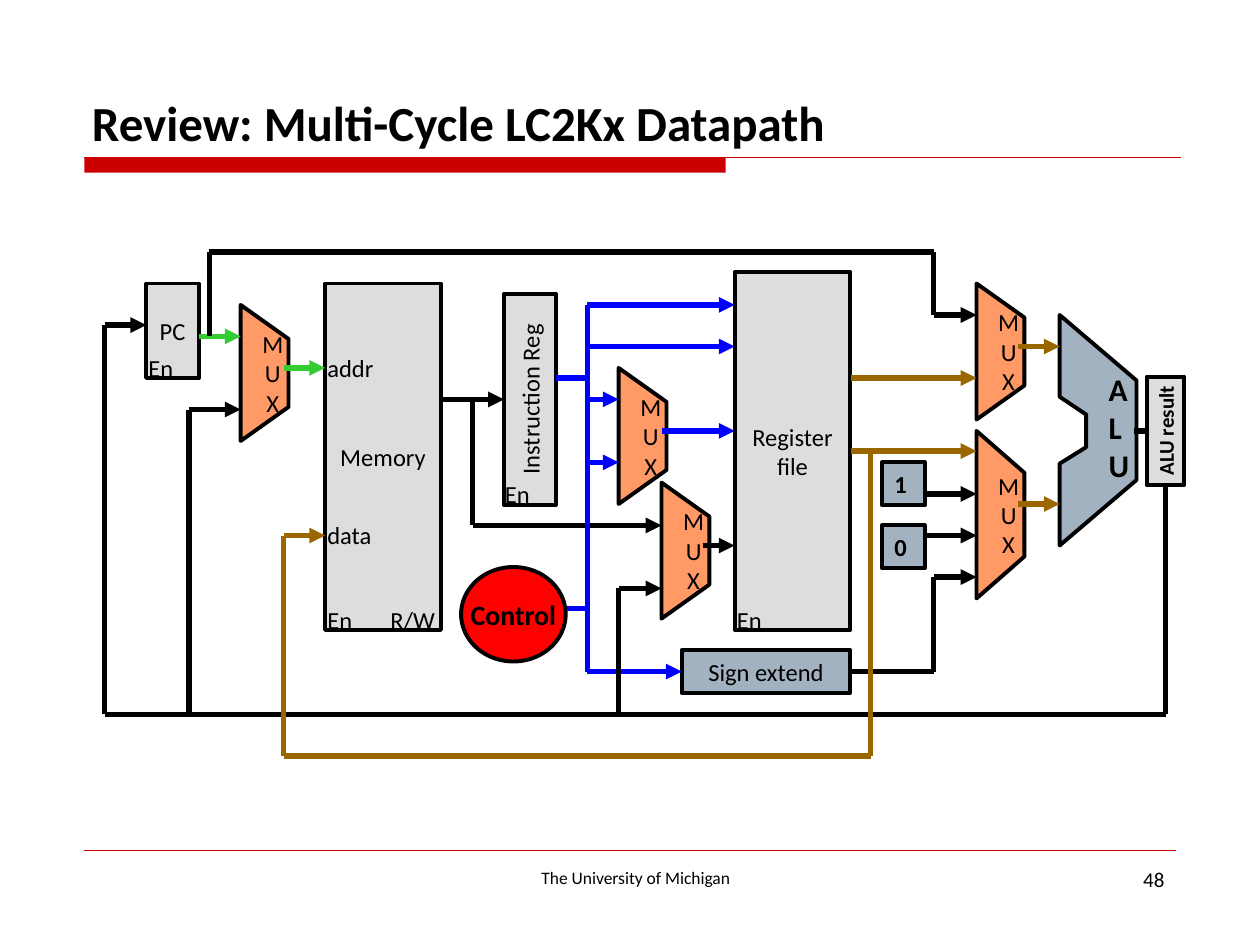
"""Build the multi-cycle LC2Kx datapath review slide."""
from itertools import pairwise

from lxml import etree
from pptx import Presentation
from pptx.dml.color import RGBColor
from pptx.enum.shapes import MSO_CONNECTOR, MSO_SHAPE
from pptx.enum.text import MSO_ANCHOR, PP_ALIGN
from pptx.oxml.ns import qn
from pptx.util import Inches, Pt

RECT, OVAL = MSO_SHAPE.RECTANGLE, MSO_SHAPE.OVAL
STRAIGHT = MSO_CONNECTOR.STRAIGHT
TOP, MIDDLE, BOTTOM = MSO_ANCHOR.TOP, MSO_ANCHOR.MIDDLE, MSO_ANCHOR.BOTTOM
LEFT, CENTER, RIGHT = PP_ALIGN.LEFT, PP_ALIGN.CENTER, PP_ALIGN.RIGHT

THEME = {
    "font": "Calibri",
    "black": "000000", "accent": "CC0000", "storage": "DDDDDD", "logic": "A3B2C1",
    "mux": "FF9966", "control": "FF0000", "fetch": "33CC33", "decode": "0000FF",
    "operand": "996600",
    "title": 28, "alu": 18, "big": 16, "body": 14, "small": 12, "footer": 10,
    "outline": 2.25, "wire": 3, "rule": 0.75, "hairline": 0.25,
}

TITLE = "Review: Multi-Cycle LC2Kx Datapath"

# name, geometry, box, fill, size, bold, sideways
BLOCKS = [
    ("PC", RECT, (1.16, 2.25, 0.42, 0.75), "storage", "body", False, False),
    ("Memory", RECT, (2.58, 2.25, 0.92, 2.75), "storage", "body", False, False),
    ("Register\nfile", RECT, (5.83, 2.16, 0.92, 2.84), "storage", "body", False, False),
    ("Instruction Reg", RECT, (4, 2.33, 0.41, 1.68), "storage", "body", False, True),
    ("Sign extend", RECT, (5.41, 5.16, 1.34, 0.34), "logic", "body", False, False),
    ("Control", OVAL, (3.66, 4.5, 0.83, 0.75), "control", "big", True, False),
    ("ALU result", RECT, (9.1, 2.99, 0.3, 0.86), "storage", "small", True, True),
]
CONSTANTS = [("1", 3.67), ("0", 4.17)]
MUXES = [(1.91, 2.42, 1.08), (4.91, 2.92, 1.08), (5.25, 3.83, 1.08),
         (7.75, 3.42, 1.33), (7.75, 2.25, 1.08)]
ALU = [(9.02, 3.02), (8.41, 2.5), (8.41, 3.15), (8.62, 3.29),
       (8.62, 3.55), (8.41, 3.68), (8.41, 4.33), (9.02, 3.81)]

PORTS = [("addr", 2.5, 2.75, 0.57), ("data", 2.5, 4.08, 0.56), ("R/W", 3, 4.75, 0.56),
         ("En", 1.08, 2.75, 0.4), ("En", 2.5, 4.75, 0.4),
         ("En", 3.91, 3.75, 0.4), ("En", 5.75, 4.75, 0.4)]

# colour, ends in an arrowhead, corner points
WIRES = [
    ("fetch", True, [(1.58, 2.67), (1.91, 2.67)]),
    ("fetch", True, [(2.25, 2.92), (2.58, 2.92)]),
    ("black", True, [(3.5, 3.17), (4, 3.17)]),
    ("black", True, [(3.75, 3.17), (3.75, 4.17), (5.25, 4.17)]),
    ("black", True, [(5.58, 4.33), (5.83, 4.33)]),
    ("decode", False, [(4.41, 3), (4.66, 3)]),
    ("decode", False, [(4.5, 4.83), (4.66, 4.83)]),
    ("decode", True, [(4.66, 2.42), (5.83, 2.42)]),
    ("decode", True, [(4.66, 2.75), (5.83, 2.75)]),
    ("decode", True, [(4.66, 3.17), (4.91, 3.17)]),
    ("decode", True, [(4.66, 3.67), (4.91, 3.67)]),
    ("decode", True, [(4.66, 2.42), (4.66, 5.33), (5.41, 5.33)]),
    ("decode", True, [(5.25, 3.42), (5.83, 3.42)]),
    ("black", True, [(1.66, 2.67), (1.66, 2), (7.41, 2), (7.41, 2.5), (7.75, 2.5)]),
    ("black", True, [(6.75, 5.33), (7.41, 5.33), (7.41, 4.58), (7.75, 4.58)]),
    ("black", True, [(7.33, 3.92), (7.75, 3.92)]),
    ("black", True, [(7.33, 4.25), (7.75, 4.25)]),
    ("black", False, [(9, 3.42), (9.1, 3.42)]),
    ("black", True, [(9.25, 3.85), (9.25, 5.67), (0.83, 5.67), (0.83, 2.58), (1.16, 2.58)]),
    ("black", True, [(1.5, 5.67), (1.5, 3.25), (1.91, 3.25)]),
    ("black", True, [(4.91, 5.67), (4.91, 4.67), (5.25, 4.67)]),
    ("operand", True, [(6.75, 3), (7.75, 3)]),
    ("operand", True, [(6.75, 3.58), (7.75, 3.58)]),
    ("operand", True, [(6.91, 3.58), (6.91, 6), (2.25, 6), (2.25, 4.25), (2.58, 4.25)]),
    ("operand", True, [(8.08, 2.75), (8.41, 2.75)]),
    ("operand", True, [(8.08, 4), (8.41, 4)]),
]


def color(key):
    return RGBColor.from_string(THEME[key])


def write(shape, text, size, bold=False, align=CENTER, anchor=MIDDLE, wrap=False):
    frame = shape.text_frame
    frame.text = text
    frame.word_wrap = wrap
    frame.vertical_anchor = anchor
    for paragraph in frame.paragraphs:
        paragraph.alignment = align
        font = paragraph.font
        font.name, font.size, font.bold = THEME["font"], Pt(THEME[size]), bold
        font.color.rgb = color("black")
    return frame


def paint(shape, fill, line="black", width="outline"):
    shape.shadow.inherit = False
    shape.fill.solid()
    shape.fill.fore_color.rgb = color(fill)
    shape.line.color.rgb = color(line)
    shape.line.width = Pt(THEME[width])
    return shape


def label(slide, text, box, size, **style):
    write(slide.shapes.add_textbox(*map(Inches, box)), text, size, anchor=TOP, **style)


def polygon(slide, points, fill):
    corners = [(Inches(x), Inches(y)) for x, y in points]
    builder = slide.shapes.build_freeform(*corners[0])
    builder.add_line_segments(corners[1:], close=True)
    return paint(builder.convert_to_shape(), fill)


def segment(slide, start, end, line, width, arrow=False, sites=None):
    connector = slide.shapes.add_connector(STRAIGHT, *map(Inches, (*start, *end)))
    connector.line.color.rgb = color(line)
    connector.line.width = Pt(THEME[width])
    if arrow:
        etree.SubElement(connector.line._get_or_add_ln(), qn("a:tailEnd"), type="triangle")
    etree.SubElement(connector._element.spPr, qn("a:effectLst"))
    for point, join in ((start, connector.begin_connect), (end, connector.end_connect)):
        if sites and point in sites:
            join(*sites[point])


def side_middles(shape, box):
    left, top, width, height = box
    middles = [(left + width / 2, top), (left, top + height / 2),
               (left + width / 2, top + height), (left + width, top + height / 2)]
    return {(round(x, 2), round(y, 2)): (shape, side) for side, (x, y) in enumerate(middles)}


def add_frame(slide):
    title = slide.shapes.title
    title.left, title.top, title.width, title.height = map(Inches, (0.63, 0.33, 8.75, 0.92))
    write(title, TITLE, "title", bold=True, align=LEFT, anchor=BOTTOM, wrap=True)
    bar = slide.shapes.add_shape(RECT, *map(Inches, (0.67, 1.25, 5.09, 0.12)))
    paint(bar, "accent").line.fill.background()
    segment(slide, (0.67, 1.25), (9.37, 1.25), "accent", "rule")
    segment(slide, (0.67, 6.75), (9.33, 6.75), "accent", "hairline")
    label(slide, "The University of Michigan", (3.17, 6.83, 3.75, 0.27), "footer", wrap=True)
    label(slide, "48", (7.67, 6.83, 1.67, 0.52), "small", align=RIGHT, wrap=True)


def add_datapath(slide):
    sites = {}
    for text, geometry, box, fill, size, bold, sideways in BLOCKS:
        block = paint(slide.shapes.add_shape(geometry, *map(Inches, box)), fill)
        frame = write(block, text, size, bold)
        if sideways:
            frame._txBody.bodyPr.set("vert", "vert270")
        if geometry == RECT:
            sites.update(side_middles(block, box))
    for left, top, height in MUXES:
        right, bottom, slant = left + 0.38, top + height, height / 4
        mux = polygon(slide, [(left, bottom), (right, bottom - slant),
                              (right, top + slant), (left, top)], "mux")
        frame = write(mux, "M\nU\nX", "body")
        frame.margin_left, frame.margin_right = Inches(0.13), 0
    polygon(slide, ALU, "logic")
    for digit, top in CONSTANTS:
        constant = slide.shapes.add_shape(RECT, *map(Inches, (7, top, 0.34, 0.34)))
        write(paint(constant, "logic"), digit, "body", True, LEFT, TOP, True)
    for line, arrow, corners in WIRES:
        runs = list(pairwise(corners))
        for start, end in runs:
            segment(slide, start, end, line, "wire", arrow and end == corners[-1], sites)
    label(slide, "A\nL\nU", (8.7, 2.89, 0.37, 1.01), "alu", bold=True, align=LEFT)
    for text, left, top, width in PORTS:
        label(slide, text, (left, top, width, 0.34), "body", align=LEFT)


def main():
    deck = Presentation()
    deck.slide_width, deck.slide_height = Inches(10), Inches(7.5)
    slide = deck.slides.add_slide(deck.slide_layouts[5])
    add_frame(slide)
    add_datapath(slide)
    deck.save("out.pptx")


if __name__ == "__main__":
    main()
